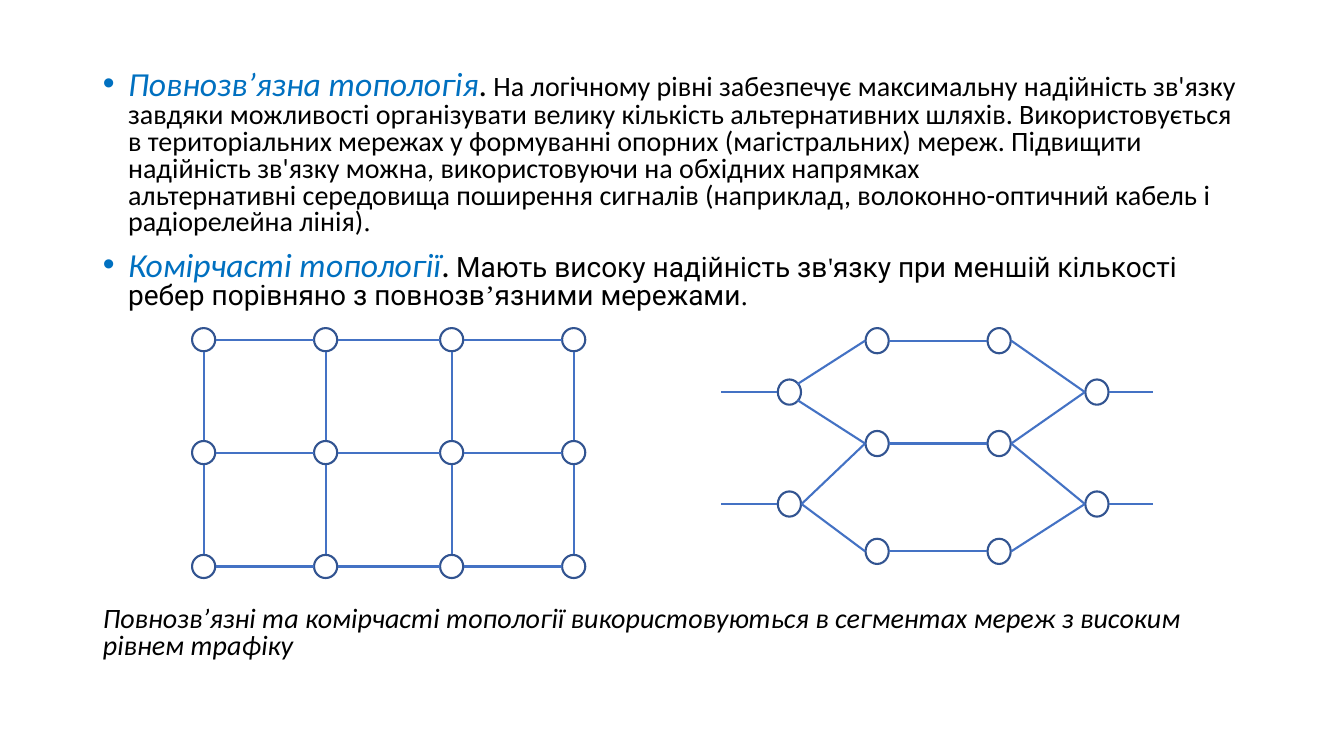
from dataclasses import dataclass
from itertools import pairwise, product

from lxml.etree import SubElement
from pptx import Presentation
from pptx.dml.color import RGBColor
from pptx.enum.shapes import MSO_CONNECTOR, MSO_SHAPE
from pptx.enum.text import MSO_ANCHOR, MSO_AUTO_SIZE, PP_ALIGN
from pptx.oxml.ns import qn
from pptx.util import Inches, Pt


@dataclass(frozen=True)
class Theme:
    ink: RGBColor = RGBColor(0, 0, 0)
    term: RGBColor = RGBColor(0x00, 0x70, 0xC0)
    ring: RGBColor = RGBColor(0x32, 0x54, 0x91)
    wire: RGBColor = RGBColor(0x44, 0x72, 0xC4)
    large: int = 24
    small: int = 20
    stroke: float = 1.5
    sans: str = "Calibri"
    wide: str = "Roboto"
    serif: str = "Times New Roman"


THEME = Theme()

FULL = [
    (" На логічному рівні забезпечує максимальну надійність зв'язку завдяки "
     "можливості організувати велику кількість альтернативних шляхів. "
     "Використовується в територіальних мережах у формуванні опорних "
     "(магістральних) мереж. Підвищити надійність зв'язку можна, "
     "використовуючи на обхідних напрямках", THEME.sans),
    ("\n", THEME.sans),
    ("альтернативні середовища поширення сигналів (наприклад, "
     "волоконно-оптичний кабель і радіорелейна лінія)", THEME.sans),
    (".", THEME.serif),
]
MESH = [
    (" ", THEME.sans),
    ("Мають високу надійність зв", THEME.wide),
    ("'", THEME.serif),
    ("язку при меншій кількості ребер порівняно з повнозв", THEME.wide),
    ("’", THEME.serif),
    ("язними мережами", THEME.wide),
    (".", THEME.serif),
]
CLOSING = ("Повнозв’язні та комірчасті топології використовуються в сегментах "
           "мереж з високим рівнем трафіку")

COLS = (2.02, 3.23, 4.48, 5.69)
ROWS = (3.37, 4.49, 5.62)

NODES = {
    "in1": (7.83, 3.89), "in2": (7.83, 5),
    "top1": (8.7, 3.38), "top2": (9.91, 3.38),
    "mid1": (8.7, 4.4), "mid2": (9.91, 4.4),
    "low1": (8.7, 5.47), "low2": (9.91, 5.47),
    "out1": (10.88, 3.89), "out2": (10.88, 5),
}
EDGE = (0.12, 0)
LINKS = [
    ("in1", "top1", (0.08, -0.08)), ("in1", "mid1", (0.08, 0.08)),
    ("in2", "mid1", EDGE), ("in2", "low1", EDGE),
    ("top1", "top2", EDGE), ("mid1", "mid2", EDGE), ("low1", "low2", EDGE),
    ("top2", "out1", EDGE), ("mid2", "out1", EDGE),
    ("mid2", "out2", EDGE), ("low2", "out2", EDGE),
]


def add_run(para, text, size, font, color=THEME.ink, slant=False):
    run = para.add_run()
    run.text = text
    run.font.size = Pt(size)
    run.font.name = font
    run.font.italic = slant
    run.font.color.rgb = color


def set_para(para, gap, dot):
    para.line_spacing = 0.8
    para.space_before = Pt(gap)
    para.alignment = PP_ALIGN.LEFT
    props = para._p.get_or_add_pPr()
    inset = Inches(0.25) if dot else 0
    props.set("marL", str(inset))
    props.set("indent", str(-inset))
    if dot:
        SubElement(props, qn("a:buFont")).set("typeface", "Arial")
        SubElement(props, qn("a:buChar")).set("char", "•")
    else:
        SubElement(props, qn("a:buNone"))


def add_point(para, term, parts):
    set_para(para, 10, True)
    add_run(para, term, THEME.large, THEME.sans, THEME.term, True)
    add_run(para, ".", THEME.large, THEME.sans)
    for text, font in parts:
        if text == "\n":
            para.add_line_break()
        else:
            add_run(para, text, THEME.small, font)


def fill_body(body):
    body.left, body.top = Inches(0.92), Inches(0.65)
    body.width, body.height = Inches(11.5), Inches(6.11)
    frame = body.text_frame
    frame.word_wrap = True
    frame.auto_size = MSO_AUTO_SIZE.NONE
    frame.vertical_anchor = MSO_ANCHOR.TOP
    add_point(frame.paragraphs[0], "Повнозв’язна топологія", FULL)
    add_point(frame.add_paragraph(), "Комірчасті топології", MESH)
    last = frame.add_paragraph()
    set_para(last, 212, False)
    add_run(last, CLOSING, THEME.small, THEME.sans, slant=True)


def add_node(group, x, y, height):
    width = 0.23
    node = group.shapes.add_shape(
        MSO_SHAPE.OVAL, Inches(x - width / 2), Inches(y - height / 2),
        Inches(width), Inches(height))
    node.shadow.inherit = False
    node.fill.background()
    node.line.color.rgb = THEME.ring
    node.line.width = Pt(THEME.stroke)


def add_wire(group, x1, y1, x2, y2):
    wire = group.shapes.add_connector(
        MSO_CONNECTOR.STRAIGHT, Inches(x1), Inches(y1), Inches(x2), Inches(y2))
    wire.line.color.rgb = THEME.wire
    wire.line.width = Pt(THEME.stroke)
    SubElement(wire._element.spPr, qn("a:effectLst"))


def draw_grid(group):
    reach = EDGE[0]
    for x, y in product(COLS, ROWS):
        add_node(group, x, y, 0.23)
    for (left, right), y in product(pairwise(COLS), ROWS):
        add_wire(group, left + reach, y, right - reach, y)
    for x, (top, base) in product(COLS, pairwise(ROWS)):
        add_wire(group, x, top + reach, x, base - reach)


def draw_mesh(group):
    reach = EDGE[0]
    for x, y in NODES.values():
        add_node(group, x, y, 0.25)
    for start, end, (dx, dy) in LINKS:
        x1, y1 = NODES[start]
        x2, y2 = NODES[end]
        add_wire(group, x1 + dx, y1 + dy, x2 - reach, y2)
    for name, side in product(("1", "2"), (("in", -1, 7.15), ("out", 1, 11.44))):
        kind, sign, tip = side
        x, y = NODES[kind + name]
        add_wire(group, x + sign * reach, y, tip, y)


def main():
    deck = Presentation()
    deck.slide_width, deck.slide_height = Inches(13.33), Inches(7.5)
    slide = deck.slides.add_slide(deck.slide_layouts[1])
    title = slide.shapes.title._element
    title.getparent().remove(title)
    fill_body(slide.placeholders[1])
    draw_grid(slide.shapes.add_group_shape())
    draw_mesh(slide.shapes.add_group_shape())
    deck.save("out.pptx")


if __name__ == "__main__":
    main()
